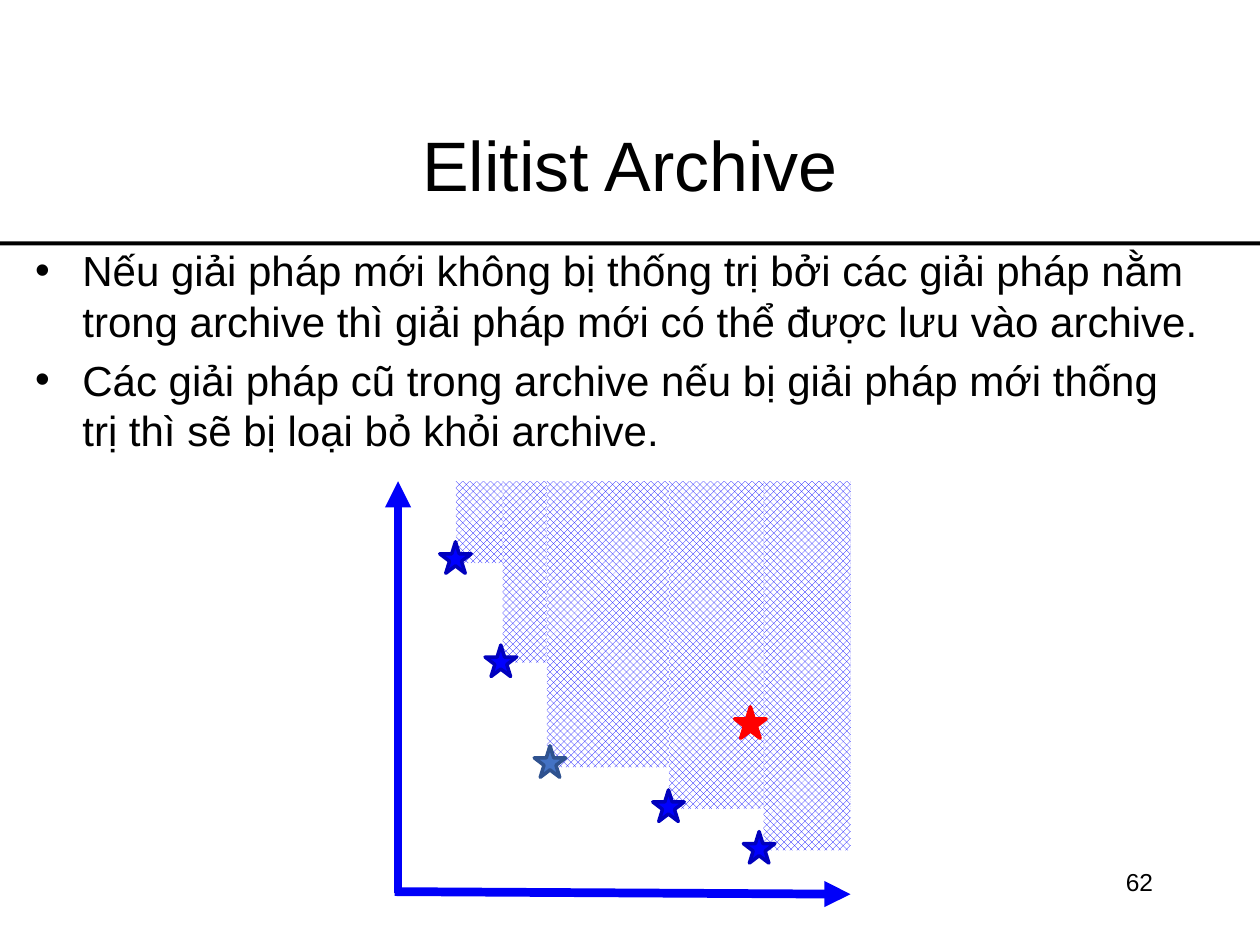
"""Build the Elitist Archive slide with its dominated-region diagram."""
from lxml import etree
from pptx import Presentation
from pptx.dml.color import RGBColor
from pptx.enum.dml import MSO_PATTERN
from pptx.enum.shapes import MSO_CONNECTOR, MSO_SHAPE
from pptx.enum.text import MSO_ANCHOR, PP_ALIGN
from pptx.oxml.ns import qn
from pptx.util import Pt

RECTANGLE, STAR = MSO_SHAPE.RECTANGLE, MSO_SHAPE.STAR_5_POINT
STRAIGHT = MSO_CONNECTOR.STRAIGHT
DIAMONDS = MSO_PATTERN.SOLID_DIAMOND
TOP, MIDDLE = MSO_ANCHOR.TOP, MSO_ANCHOR.MIDDLE
LEFT, CENTER, RIGHT = PP_ALIGN.LEFT, PP_ALIGN.CENTER, PP_ALIGN.RIGHT

BLACK = RGBColor(0x00, 0x00, 0x00)
WHITE = RGBColor(0xFF, 0xFF, 0xFF)
AXIS_BLUE = RGBColor(0x00, 0x00, 0xF9)
BLUE = RGBColor(0x00, 0x00, 0xFF)
DARK_BLUE = RGBColor(0x00, 0x00, 0xBD)
STEEL = RGBColor(0x43, 0x72, 0xC4)
DARK_STEEL = RGBColor(0x2F, 0x52, 0x8F)
RED = RGBColor(0xFF, 0x00, 0x00)

prs = Presentation()
prs.slide_width, prs.slide_height = Pt(720), Pt(540)
slide = prs.slides.add_slide(prs.slide_layouts[6])
shapes = slide.shapes


def add_text(box, paragraphs, size, align, anchor=TOP, bulleted=False):
    frame = shapes.add_textbox(*map(Pt, box)).text_frame
    frame.word_wrap = True
    frame.vertical_anchor = anchor
    for index, text in enumerate(paragraphs):
        paragraph = frame.paragraphs[0] if index == 0 else frame.add_paragraph()
        paragraph.alignment = align
        if index:
            paragraph.space_before = Pt(size * 0.2)
        if bulleted:
            properties = paragraph._p.get_or_add_pPr()
            properties.set("marL", str(Pt(27)))
            properties.set("indent", str(Pt(-27)))
            etree.SubElement(properties, qn("a:buFont"), typeface="Arial")
            etree.SubElement(properties, qn("a:buChar"), char="•")
        run = paragraph.add_run()
        run.text = text
        run.font.name = "Arial"
        run.font.size = Pt(size)
        run.font.color.rgb = BLACK


divider = shapes.add_shape(RECTANGLE, Pt(0), Pt(138), Pt(720), Pt(2.2))
divider.shadow.inherit = False
divider.fill.solid()
divider.fill.fore_color.rgb = BLACK
divider.line.fill.background()

add_text((54, 48.2, 612, 90), ["Elitist Archive"], 40, CENTER, MIDDLE)
rules = [
    "Nếu giải pháp mới không bị thống trị bởi các giải pháp nằm trong archive "
    "thì giải pháp mới có thể được lưu vào archive.",
    "Các giải pháp cũ trong archive nếu bị giải pháp mới thống trị thì sẽ bị "
    "loại bỏ khỏi archive.",
]
add_text((13, 136.4, 679, 324), rules, 24, LEFT, bulleted=True)
add_text((516, 492, 150, 36), ["62"], 14, RIGHT)

for ends in [(227.5, 510.5, 227.5, 275), (225.5, 509.5, 486, 511)]:
    axis = shapes.add_connector(STRAIGHT, *map(Pt, ends))
    axis.line.color.rgb = AXIS_BLUE
    axis.line.width = Pt(5)
    etree.SubElement(axis.line._get_or_add_ln(), qn("a:tailEnd"), type="triangle")
    etree.SubElement(axis._element.spPr, qn("a:effectLst"))

region_top, region_right = 275, 486
region_corners = [(260.6, 321.8), (287.3, 378.7), (312.5, 438.5), (382.3, 462.2), (436.3, 486)]
for left, bottom in region_corners:
    region = shapes.add_shape(RECTANGLE, Pt(left), Pt(region_top),
                              Pt(region_right - left), Pt(bottom - region_top))
    region.shadow.inherit = False
    region.fill.patterned()
    region.fill.pattern = DIAMONDS
    region.fill.fore_color.rgb = BLUE
    region.fill.back_color.rgb = WHITE
    region.line.fill.background()

star_size = 18
solutions = [
    (251.3, 309.6, BLUE, DARK_BLUE),
    (277.2, 368.6, BLUE, DARK_BLUE),
    (424.8, 475.2, BLUE, DARK_BLUE),
    (373, 451.4, BLUE, DARK_BLUE),
    (305.3, 426.2, STEEL, DARK_STEEL),
    (419.8, 403.9, RED, RED),
]
for left, top, color, edge in solutions:
    solution = shapes.add_shape(STAR, Pt(left), Pt(top), Pt(star_size), Pt(star_size))
    solution.shadow.inherit = False
    solution.fill.solid()
    solution.fill.fore_color.rgb = color
    solution.line.color.rgb = edge
    solution.line.width = Pt(2)
    etree.SubElement(solution.line._get_or_add_ln(), qn("a:round"))

prs.save("out.pptx")
